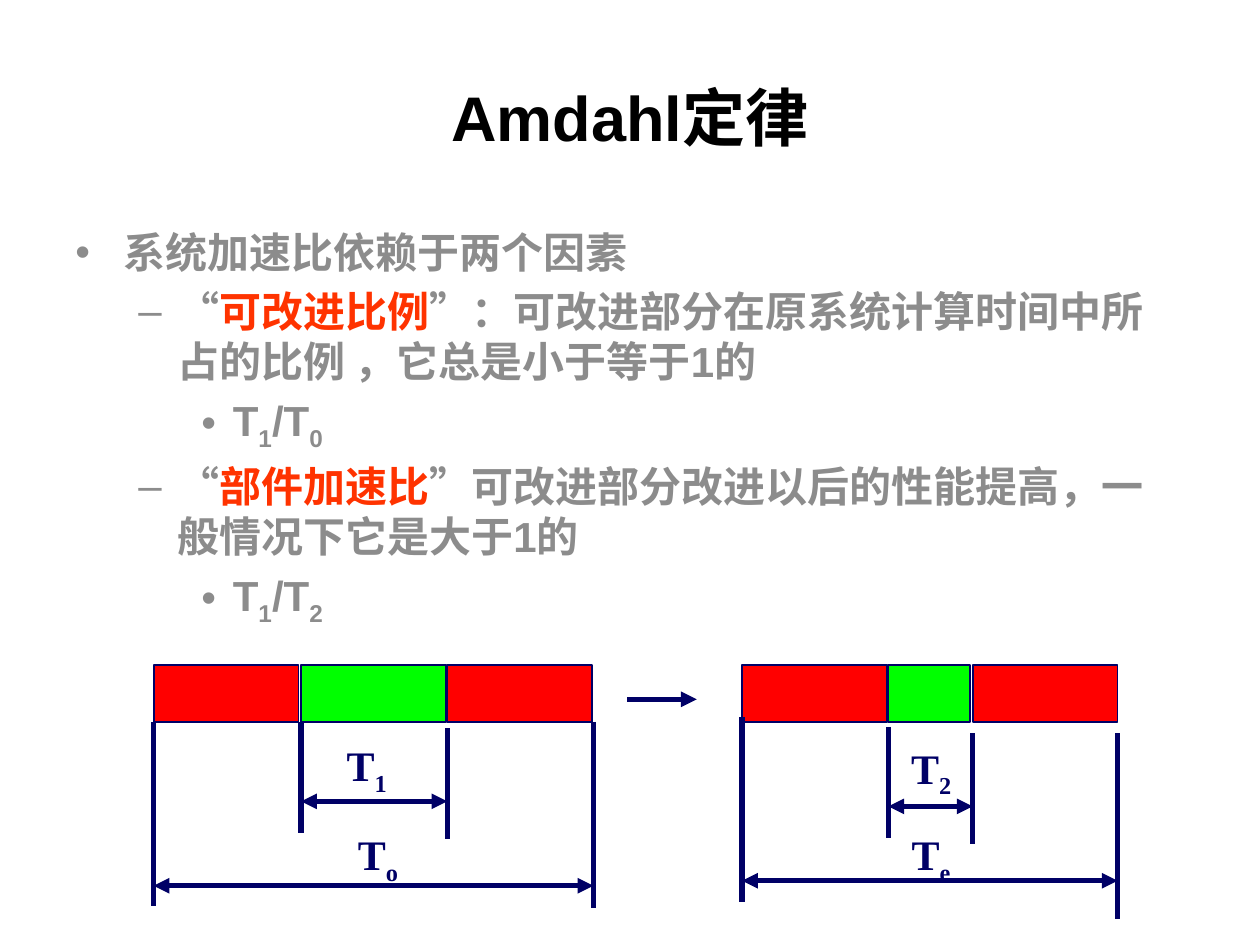
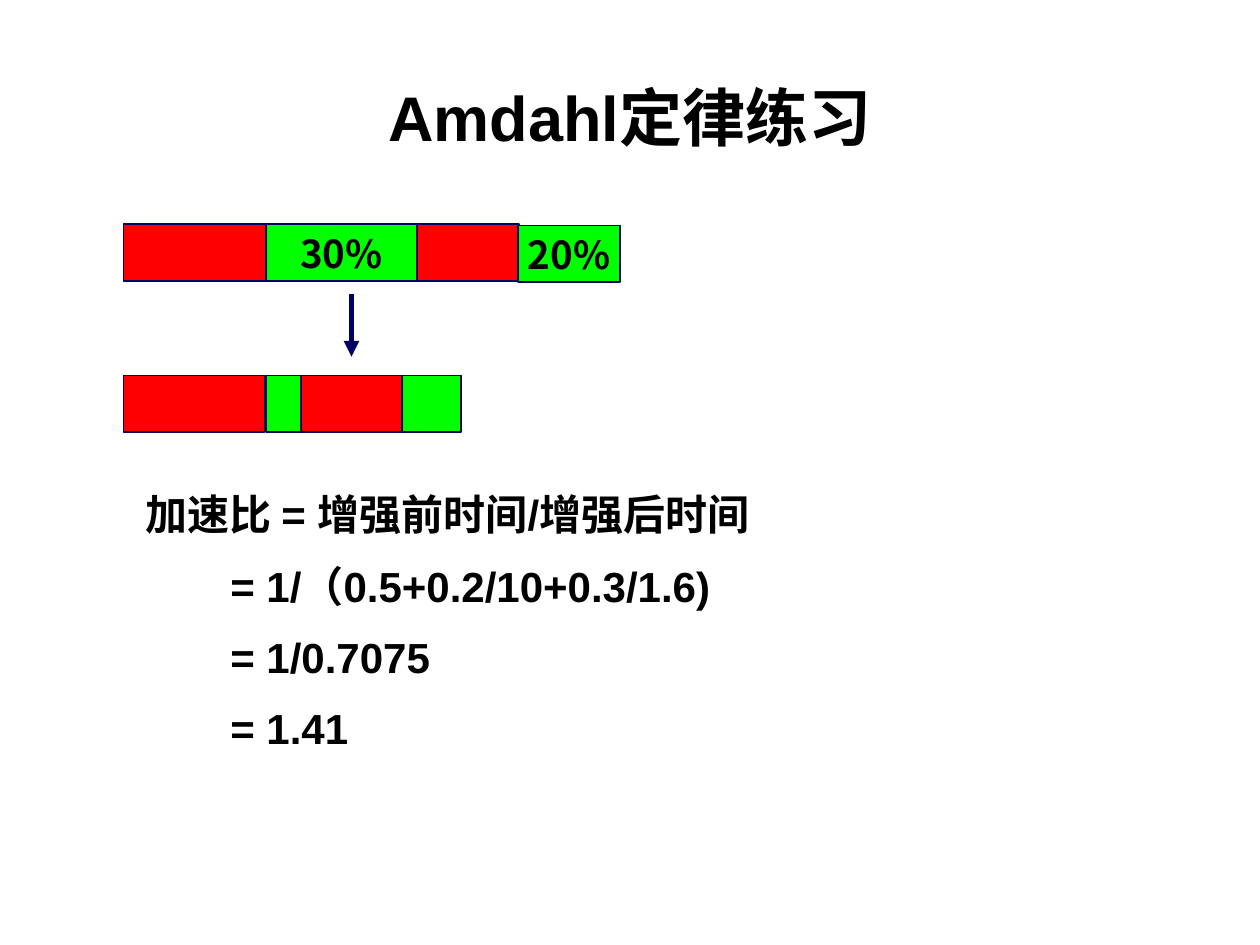
from lxml.etree import SubElement
from pptx import Presentation
from pptx.dml.color import RGBColor
from pptx.enum.shapes import MSO_CONNECTOR, MSO_SHAPE
from pptx.enum.text import MSO_ANCHOR, PP_ALIGN
from pptx.oxml.ns import qn
from pptx.util import Pt

SCALE = 9144
COLORS = {
    "black": "000000",
    "gray": "8C8C8C",
    "accent": "FF3300",
    "red": "FF0000",
    "green": "00FF00",
    "navy": "000066",
}
SANS, SERIF, HAN = "Arial", "Times New Roman", "Noto Sans CJK SC"
SUB = {"base": -25000}
HOT = {"color": "accent"}
LEVELS = [(38, 38, "•"), (81, 31, "–"), (125, 25, "•")]


def px(num):
    return num * SCALE


def tint(name):
    return RGBColor.from_string(COLORS[name])


def style(run, size=24, font=SANS, color="black", base=0):
    run.font.size = Pt(size)
    run.font.bold = True
    run.font.color.rgb = tint(color)
    run.font.name = font
    props = run._r.get_or_add_rPr()
    SubElement(props, qn("a:ea")).set("typeface", HAN)
    if base:
        props.set("baseline", str(base))


def write(shape, paras, align=PP_ALIGN.LEFT, anchor=MSO_ANCHOR.TOP,
          wrap=True, before=0, **fmt):
    frame = shape.text_frame
    frame.word_wrap = wrap
    frame.vertical_anchor = anchor
    for num, parts in enumerate(paras):
        para = frame.add_paragraph() if num else frame.paragraphs[0]
        para.alignment = align
        para.space_before = Pt(before if num else 0)
        for part in parts:
            words, extra = part if isinstance(part, tuple) else (part, {})
            run = para.add_run()
            run.text = words
            style(run, **{**fmt, **extra})
    return frame


def indent(para, left, hang=0, mark=None):
    props = para._p.get_or_add_pPr()
    props.set("marL", str(px(left)))
    props.set("indent", str(px(-hang)))
    if mark:
        SubElement(props, qn("a:buFont")).set("typeface", SANS)
        SubElement(props, qn("a:buChar")).set("char", mark)


def box(slide, left, top, width, height, paras, **fmt):
    shape = slide.shapes.add_textbox(px(left), px(top), px(width), px(height))
    return write(shape, paras, **fmt)


def title(slide, words):
    box(slide, 50, 30, 900, 125, [[words]], size=36,
        align=PP_ALIGN.CENTER, anchor=MSO_ANCHOR.MIDDLE)


def bar(slide, left, top, width, color, label=None):
    shape = slide.shapes.add_shape(
        MSO_SHAPE.RECTANGLE, px(left), px(top), px(width), px(45))
    shape.shadow.inherit = False
    shape.fill.solid()
    shape.fill.fore_color.rgb = tint(color)
    shape.line.color.rgb = tint("navy")
    shape.line.width = Pt(1)
    if label:
        write(shape, [[label]], size=22, font=HAN, wrap=False,
              align=PP_ALIGN.CENTER, anchor=MSO_ANCHOR.MIDDLE)


def row(slide, top, spans):
    for num, (left, width) in enumerate(spans):
        bar(slide, left, top, width, ("red", "green")[num % 2])


def line(slide, x1, y1, x2, y2, ends=()):
    link = slide.shapes.add_connector(
        MSO_CONNECTOR.STRAIGHT, px(x1), px(y1), px(x2), px(y2))
    link.line.color.rgb = tint("navy")
    link.line.width = Pt(3)
    stroke = link.line._get_or_add_ln()
    for end in ends:
        SubElement(stroke, qn(f"a:{end}End")).set("type", "triangle")
    SubElement(link._element.spPr, qn("a:effectLst"))


def span(slide, x1, x2, y):
    line(slide, x1, y, x2, y, ("head", "tail"))


def label(slide, left, top, sub):
    box(slide, left, top, 90, 50, [["T", (sub, SUB)]],
        font=SERIF, color="navy", align=PP_ALIGN.CENTER)


def law(slide):
    title(slide, "Amdahl定律")
    items = [
        (0, ["系统加速比依赖于两个因素"]),
        (1, ["“", ("可改进比例", HOT),
             "”：可改进部分在原系统计算时间中所占的比例 ，它总是小于等于1的"]),
        (2, ["T", ("1", SUB), "/T", ("0", SUB)]),
        (1, ["“", ("部件加速比", HOT),
             "”可改进部分改进以后的性能提高，一般情况下它是大于1的"]),
        (2, ["T", ("1", SUB), "/T", ("2", SUB)]),
    ]
    frame = box(slide, 50, 175, 900, 340, [parts for _, parts in items],
                color="gray", before=4.8)
    for para, (level, _) in zip(frame.paragraphs, items):
        indent(para, *LEVELS[level])

    row(slide, 528, [(122, 115), (239, 115), (355, 115)])
    row(slide, 528, [(589, 115), (705, 65), (772, 115)])
    line(slide, 498, 555, 553, 555, ["tail"])
    posts = [
        (122, 573, 719), (239, 573, 661), (355, 578, 666), (471, 573, 721),
        (589, 569, 716), (705, 577, 665), (772, 582, 670), (887, 582, 729),
    ]
    for x, top, end in posts:
        line(slide, x, top, x, end)
    for x1, x2, y in [(239, 355, 636), (122, 471, 703),
                      (705, 772, 640), (589, 887, 699)]:
        span(slide, x1, x2, y)
    for left, top, sub in [(246, 582, "1"), (255, 653, "o"),
                           (694, 584, "2"), (694, 653, "e")]:
        label(slide, left, top, sub)


def drill(slide):
    title(slide, "Amdahl定律练习")
    line(slide, 279, 233, 279, 283, ["tail"])
    bar(slide, 98, 178, 113, "red")
    bar(slide, 211, 178, 120, "green", "30%")
    bar(slide, 331, 178, 81, "red")
    bar(slide, 411, 179, 81, "green", "20%")
    row(slide, 298, [(98, 112), (211, 30), (239, 81), (319, 47)])
    steps = ["加速比 = 增强前时间/增强后时间", "= 1/（0.5+0.2/10+0.3/1.6)",
             "= 1/0.7075", "= 1.41"]
    frame = box(slide, 90, 383, 693, 232, [[step] for step in steps],
                before=12)
    for num, para in enumerate(frame.paragraphs):
        indent(para, 83 if num else 16)


def main():
    deck = Presentation()
    deck.slide_width, deck.slide_height = px(1000), px(750)
    for build in (law, drill):
        build(deck.slides.add_slide(deck.slide_layouts[6]))
    deck.save("out.pptx")


if __name__ == "__main__":
    main()
